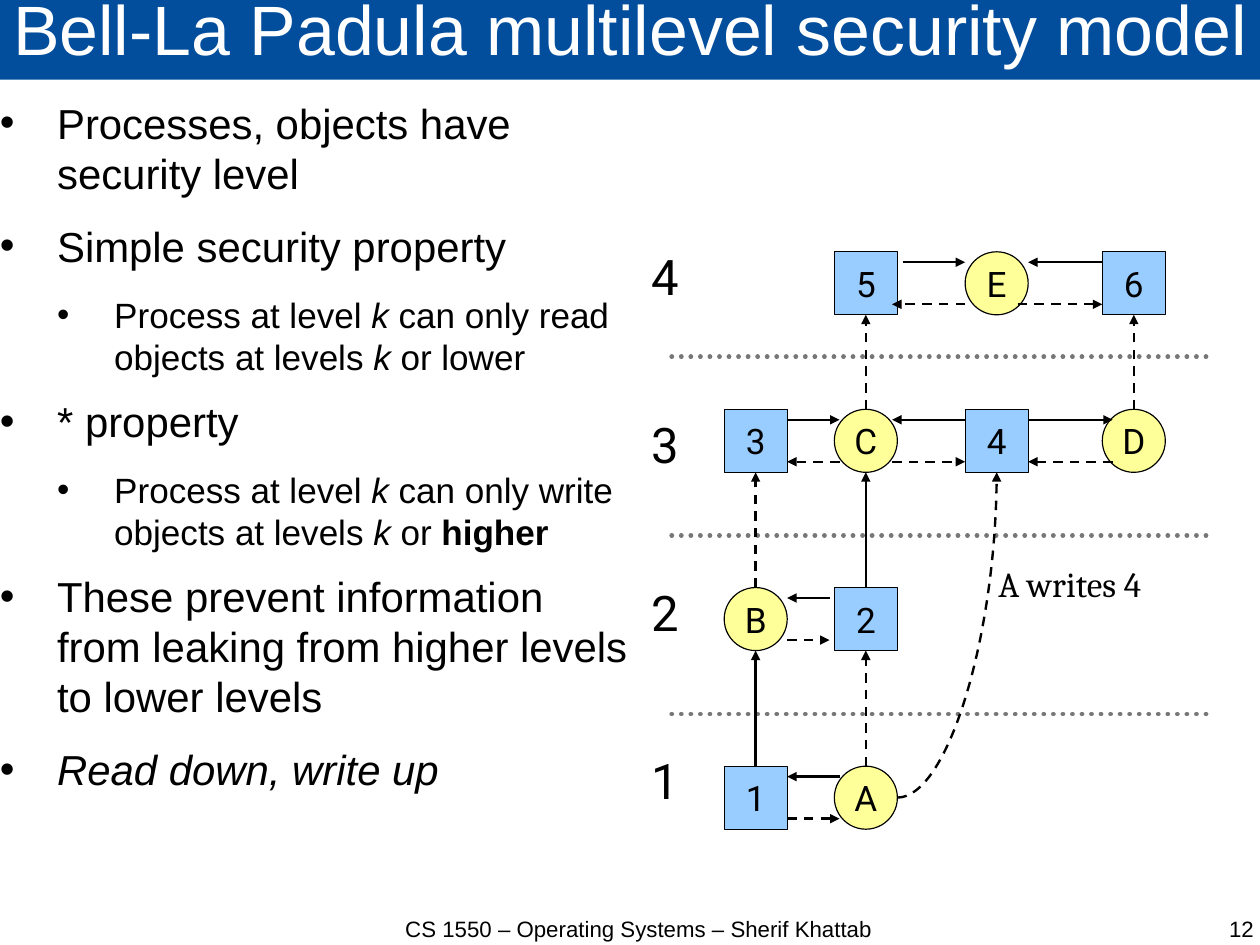
from lxml import etree
from pptx import Presentation
from pptx.dml.color import RGBColor
from pptx.enum.dml import MSO_LINE as DASH
from pptx.enum.shapes import MSO_CONNECTOR as CONN, MSO_SHAPE as SHAPE
from pptx.enum.text import MSO_ANCHOR as ANCHOR, MSO_AUTO_SIZE as FIT, PP_ALIGN as ALIGN
from pptx.oxml.ns import qn
from pptx.util import Pt

TITLE = "Bell-La Padula multilevel security model"
FOOTER = "CS 1550 – Operating Systems – Sherif Khattab"
PAGE = "12"
CURVE_LABEL = "A writes 4"

I, B = {"italic": True}, {"bold": True}
BULLETS = [  # (level, [(text, format), ...])
    (0, [("Processes, objects have security level", {})]),
    (0, [("Simple security property", {})]),
    (1, [("Process at level ", {}), ("k", I), (" can only read objects at levels ", {}),
         ("k", I), (" or lower", {})]),
    (0, [("* property", {})]),
    (1, [("Process at level ", {}), ("k", I), (" can only write objects at levels ", {}),
         ("k", I), (" or ", {}), ("higher", B)]),
    (0, [("These prevent information from leaking from higher levels to lower levels", {})]),
    (0, [("Read down, write up", I)]),
]
BULLET_STYLE = [(26.4, 14.2), (22.1, 11.4)]  # size and space after, by level

COLS = [456.2, 525.6, 608, 694.4]
ROWS = {4: 158.6, 3: 257.8, 2: 370.1, 1: 482.6}
NODES = {  # name: (column, security level); letters are processes, digits objects
    "5": (1, 4), "E": (2, 4), "6": (3, 4),
    "3": (0, 3), "C": (1, 3), "4": (2, 3), "D": (3, 3),
    "B": (0, 2), "2": (1, 2),
    "1": (0, 1), "A": (1, 1),
}
NODE = 39.7
SIDE_ARROWS = [  # (from, to, dashed, inset at start, inset at end)
    ("5", "E", False, -3.6, 0), ("6", "E", False, 0, 0),
    ("E", "5", True, 0, 3.3), ("E", "6", True, 6.6, 0),
    ("3", "C", False, 0, 3.3), ("C", "3", True, 3.3, 0),
    ("4", "C", False, 0, 3.3), ("C", "4", True, 3.3, 0),
    ("4", "D", False, 0, 6.6), ("D", "4", True, 6.6, 0),
    ("2", "B", False, -3, 0), ("B", "2", True, 0, -3),
    ("A", "1", False, 3.3, 0), ("1", "A", True, 0, 3.3),
]
UP_ARROWS = [("D", "6", True), ("C", "5", True), ("2", "C", False),
             ("1", "B", False), ("A", "2", True), ("B", "3", True)]

prs = Presentation()
prs.slide_width, prs.slide_height = Pt(793.75), Pt(595.25)
s = prs.slides.add_slide(prs.slide_layouts[5])


def color(value):
    return RGBColor.from_string(value)


def apply(obj, **formats):
    for name, value in formats.items():
        setattr(obj, name, value)


def write(p, text, size, font="Arial", fill="000000", **formats):
    r = p.add_run()
    r.text = text
    apply(r.font, size=Pt(size), name=font, **formats)
    r.font.color.rgb = color(fill)


def flush(tf):
    """Let the text fill its frame without margins."""
    apply(tf, margin_left=0, margin_top=0, margin_right=0, margin_bottom=0, word_wrap=True)


def textbox(x, y, w, h):
    return s.shapes.add_textbox(Pt(x), Pt(y), Pt(w), Pt(h)).text_frame


def line(x1, y1, x2, y2, dash=None, fill="000000", width=1.5, arrow=True, kind=CONN.STRAIGHT):
    c = s.shapes.add_connector(kind, Pt(x1), Pt(y1), Pt(x2), Pt(y2))
    c.line.color.rgb = color(fill)
    apply(c.line, width=Pt(width), dash_style=dash)
    ln = c.line._get_or_add_ln()
    if arrow:
        etree.SubElement(ln, qn("a:tailEnd"), type="triangle")
    else:
        ln.set("cap", "rnd")
    etree.SubElement(c._element.spPr, qn("a:effectLst"))
    return c


def corner(name):
    col, level = NODES[name]
    return COLS[col], ROWS[level]


def add_title():
    sp = s.shapes.title
    apply(sp, left=Pt(0), top=Pt(-1.6), width=Pt(794.9), height=Pt(51.8))
    sp.fill.solid()
    sp.fill.fore_color.rgb = color("024E9D")
    tf = sp.text_frame
    flush(tf)
    apply(tf, auto_size=FIT.NONE, vertical_anchor=ANCHOR.MIDDLE)
    p = tf.paragraphs[0]
    apply(p, alignment=ALIGN.CENTER, line_spacing=0.69)
    write(p, TITLE, 44, fill="FFFFFF")


def add_bullets():
    tf = textbox(0, 61.2, 396.9, 512.6)
    flush(tf)
    for i, (level, runs) in enumerate(BULLETS):
        p = tf.add_paragraph() if i else tf.paragraphs[0]
        size, after = BULLET_STYLE[level]
        apply(p, level=level, space_after=Pt(after))
        pPr = p._p.get_or_add_pPr()
        pPr.set("marL", str(Pt(36 * (level + 1))))
        pPr.set("indent", str(Pt(-36)))
        etree.SubElement(pPr, qn("a:buFont"), typeface="Arial")
        etree.SubElement(pPr, qn("a:buChar"), char="•")
        for text, formats in runs:
            write(p, text, size, **formats)


def add_footer():
    for text, x, w, align in [(FOOTER, 221, 362.9, ALIGN.CENTER),
                              (PAGE, 607.7, 182.2, ALIGN.RIGHT)]:
        tf = textbox(x, 576.7, w, 39.6)
        flush(tf)
        tf.paragraphs[0].alignment = align
        write(tf.paragraphs[0], text, 14)


def add_label(text, x, y, w, h, size, font):
    tf = textbox(x, y, w, h)
    apply(tf, word_wrap=False, auto_size=FIT.SHAPE_TO_FIT_TEXT)
    write(tf.paragraphs[0], text, size, font)


def add_node(name):
    x, y = corner(name)
    preset, fill = (SHAPE.OVAL, "FFFF99") if name.isalpha() else (SHAPE.RECTANGLE, "99CCFF")
    sp = s.shapes.add_shape(preset, Pt(x), Pt(y), Pt(NODE), Pt(NODE))
    sp.shadow.inherit = False
    sp.fill.solid()
    sp.fill.fore_color.rgb = color(fill)
    sp.line.color.rgb = color("000000")
    sp.line.width = Pt(0.75)
    tf = sp.text_frame
    apply(tf, word_wrap=False, vertical_anchor=ANCHOR.MIDDLE)
    tf.paragraphs[0].alignment = ALIGN.CENTER
    write(tf.paragraphs[0], name, 22.1, "Roboto")


def add_arrows():
    for start, end, dashed, inset1, inset2 in SIDE_ARROWS:
        (x1, y), (x2, _) = corner(start), corner(end)
        if x1 < x2:
            x1, x2 = x1 + NODE - inset1, x2 + inset2
        else:
            x1, x2 = x1 + inset1, x2 + NODE - inset2
        y += NODE * (5 / 6 if dashed else 1 / 6)
        line(x1, y, x2, y, DASH.DASH if dashed else None)
    for start, end, dashed in UP_ARROWS:
        (x, y1), (_, y2) = corner(start), corner(end)
        line(x + NODE / 2, y1, x + NODE / 2, y2 + NODE, DASH.DASH if dashed else None)
    (x1, y1), (x2, y2) = corner("A"), corner("4")
    c = line(x1 + NODE, y1 + NODE / 2, x2 + NODE / 2, y2 + NODE, DASH.DASH, kind=CONN.CURVE)
    c._element.spPr.find(qn("a:prstGeom")).set("prst", "curvedConnector2")


add_title()
add_bullets()
add_footer()
for i in range(3):
    y = 224.8 + 112.5 * i
    line(423.2, y, 760.4, y, DASH.ROUND_DOT, "777777", 3, arrow=False)
for i, level in enumerate(ROWS):
    add_label(str(level), 403.2, 151.9 + 105.8 * i, 31.7, 44.6, 30.9, "Roboto")
for name in NODES:
    add_node(name)
add_arrows()
add_label(CURVE_LABEL, 621.8, 350.6, 105.8, 33.8, 22.1, "Cambria")
prs.save("out.pptx")
